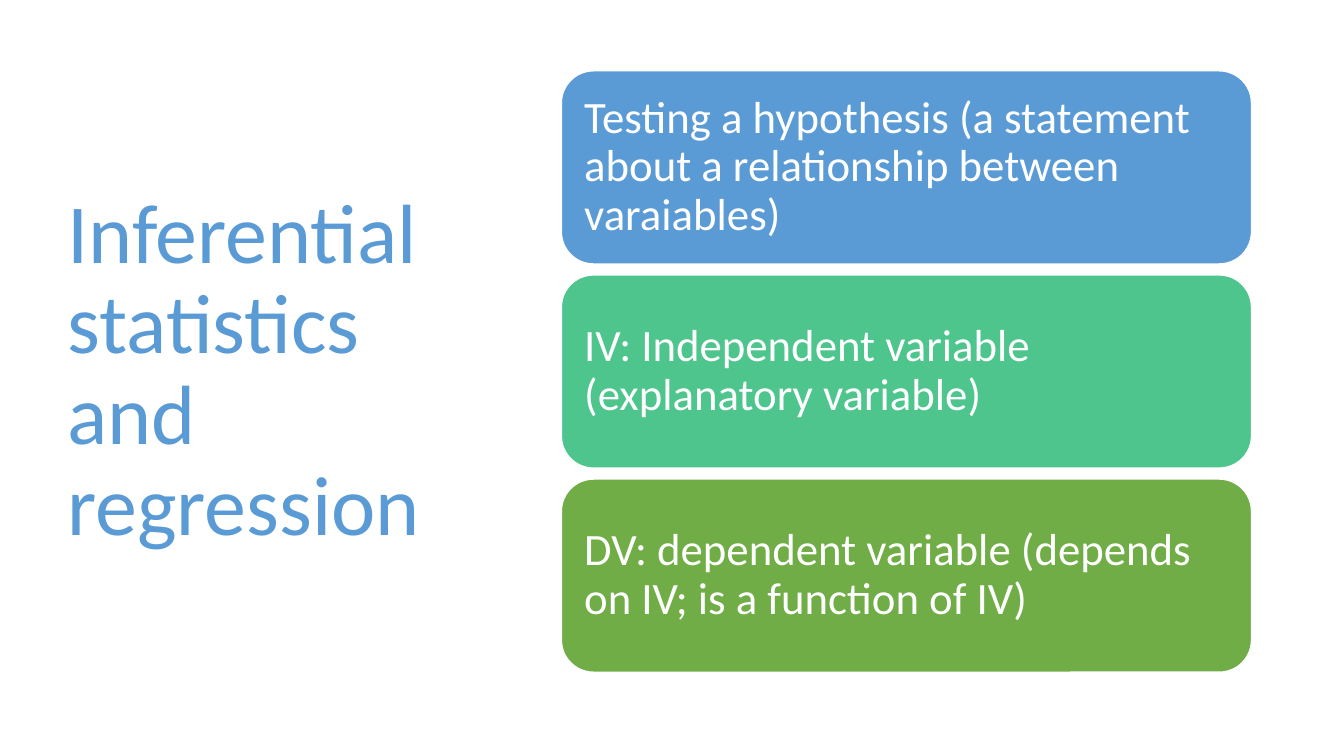
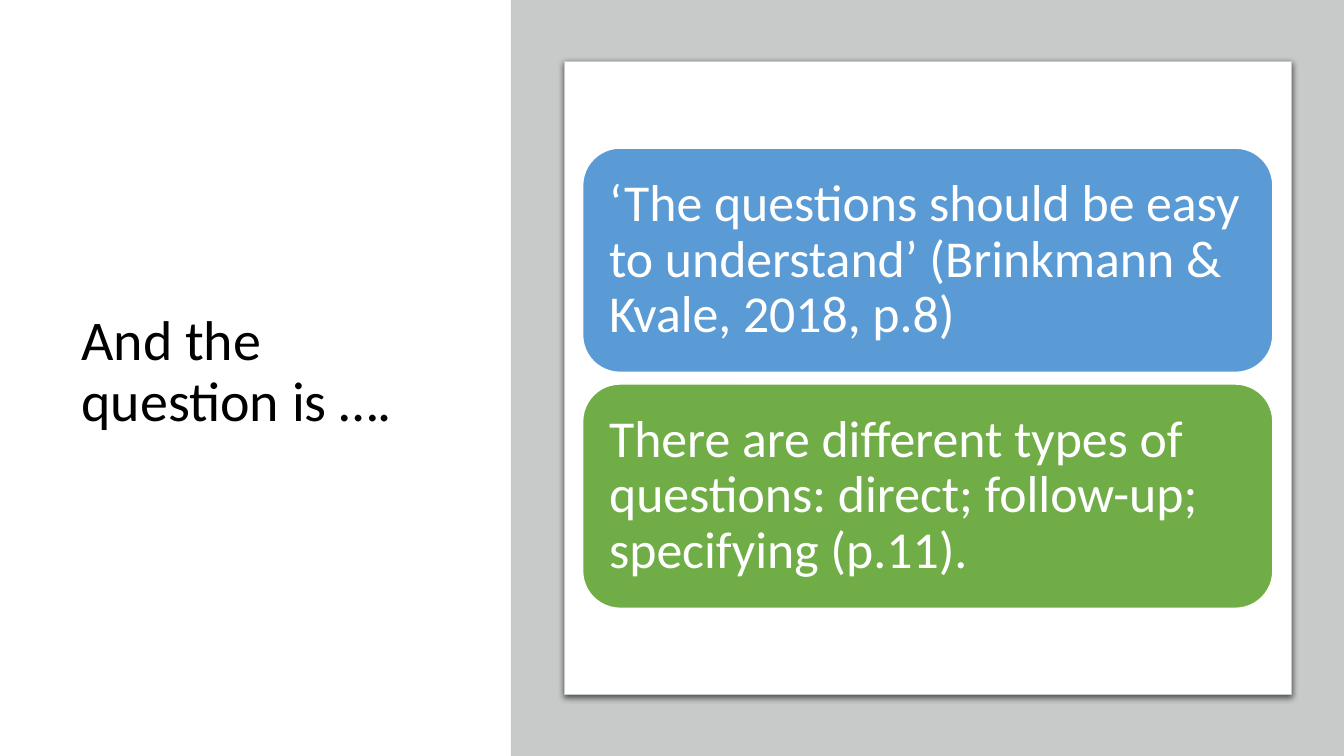
from dataclasses import dataclass

from lxml import etree
from pptx import Presentation
from pptx.dml.color import RGBColor
from pptx.enum.shapes import MSO_SHAPE
from pptx.enum.text import MSO_ANCHOR, MSO_AUTO_SIZE, PP_ALIGN
from pptx.oxml.ns import qn
from pptx.shapes.autoshape import Shape
from pptx.slide import Slide
from pptx.text.text import TextFrame
from pptx.util import Pt

RECTANGLE = MSO_SHAPE.RECTANGLE
ROUNDED = MSO_SHAPE.ROUNDED_RECTANGLE
MIDDLE = MSO_ANCHOR.MIDDLE
LEFT = PP_ALIGN.LEFT
NO_AUTOFIT = MSO_AUTO_SIZE.NONE
TITLE_ONLY = 5
SLIDE_WIDTH = 960
SLIDE_HEIGHT = 540


@dataclass(frozen=True)
class Theme:
    font: str = "Calibri"
    blue: RGBColor = RGBColor(0x5B, 0x9B, 0xD5)
    teal: RGBColor = RGBColor(0x4D, 0xC5, 0x8D)
    green: RGBColor = RGBColor(0x70, 0xAD, 0x47)
    grey: RGBColor = RGBColor(0xC8, 0xCA, 0xCA)
    white: RGBColor = RGBColor(0xFF, 0xFF, 0xFF)
    black: RGBColor = RGBColor(0, 0, 0)
    large_title: float = 60
    small_title: float = 40
    card_text: float = 32
    large_card_text: float = 37
    line_spacing: float = 0.9


@dataclass(frozen=True)
class Box:
    left: float
    top: float
    width: float
    height: float


@dataclass(frozen=True)
class Card:
    text: str
    color: RGBColor


@dataclass(frozen=True)
class CardStack:
    first: Box
    gap: float
    inset: float
    size: float
    cards: tuple[Card, ...]


THEME = Theme()

HYPOTHESIS_STACK = CardStack(
    Box(401, 50.6, 493, 138), 7.8, 9.6, THEME.card_text,
    (
        Card("Testing a hypothesis (a statement about a relationship between varaiables)", THEME.blue),
        Card("IV: Independent variable (explanatory variable)", THEME.teal),
        Card("DV: dependent variable (depends on IV; is a function of IV)", THEME.green),
    ),
)
QUESTION_STACK = CardStack(
    Box(416.2, 105.8, 493, 160.2), 8.3, 11.1, THEME.large_card_text,
    (
        Card("‘The questions should be easy to understand’ (Brinkmann & Kvale, 2018, p.8)", THEME.blue),
        Card("There are different types of questions: direct; follow-up; specifying (p.11).", THEME.green),
    ),
)


def write_text(frame: TextFrame, text: str, size: float, color: RGBColor) -> None:
    frame.text = text
    frame.word_wrap = True
    frame.auto_size = NO_AUTOFIT
    frame.vertical_anchor = MIDDLE
    paragraph = frame.paragraphs[0]
    paragraph.alignment = LEFT
    paragraph.line_spacing = THEME.line_spacing
    paragraph.font.name = THEME.font
    paragraph.font.size = Pt(size)
    paragraph.font.color.rgb = color


def set_title(slide: Slide, text: str, box: Box, size: float, color: RGBColor) -> None:
    title = slide.shapes.title
    title.left, title.top = Pt(box.left), Pt(box.top)
    title.width, title.height = Pt(box.width), Pt(box.height)
    write_text(title.text_frame, text, size, color)


def add_box(
    slide: Slide,
    kind: MSO_SHAPE,
    box: Box,
    fill: RGBColor,
    line: RGBColor | None = None,
    line_width: float = 1,
) -> Shape:
    shape = slide.shapes.add_shape(kind, Pt(box.left), Pt(box.top), Pt(box.width), Pt(box.height))
    shape.shadow.inherit = False
    shape.fill.solid()
    shape.fill.fore_color.rgb = fill
    if line is None:
        shape.line.fill.background()
    else:
        shape.line.color.rgb = line
        shape.line.width = Pt(line_width)
    return shape


def add_soft_shadow(shape: Shape) -> None:
    effects = shape.element.spPr.find(qn("a:effectLst"))
    shadow = etree.SubElement(
        effects, qn("a:outerShdw"),
        blurRad=str(Pt(4.5)), dist=str(Pt(1.5)), dir="5400000", algn="t", rotWithShape="0",
    )
    color = etree.SubElement(shadow, qn("a:srgbClr"), val=str(THEME.black))
    etree.SubElement(color, qn("a:alpha"), val="63000")


def add_card_stack(slide: Slide, stack: CardStack) -> None:
    first = stack.first
    for index, card in enumerate(stack.cards):
        top = first.top + index * (first.height + stack.gap)
        box = Box(first.left, top, first.width, first.height)
        shape = add_box(slide, ROUNDED, box, card.color, THEME.white)
        frame = shape.text_frame
        frame.margin_left = frame.margin_right = Pt(stack.inset)
        frame.margin_top = frame.margin_bottom = Pt(stack.inset)
        write_text(frame, card.text, stack.size, THEME.white)


def build_regression_slide(slide: Slide) -> None:
    set_title(slide, "Inferential statistics and regression", Box(41, 49, 299.5, 433.5),
              THEME.large_title, THEME.blue)
    add_card_stack(slide, HYPOTHESIS_STACK)


def build_question_slide(slide: Slide) -> None:
    set_title(slide, "And the question is ….", Box(51, 49.7, 288.7, 433.5),
              THEME.small_title, THEME.black)
    panel_left = 365
    add_box(slide, RECTANGLE, Box(panel_left, 0, SLIDE_WIDTH - panel_left, SLIDE_HEIGHT), THEME.grey)
    frame = add_box(slide, RECTANGLE, Box(403.2, 43.9, 519.1, 452.2), THEME.white, THEME.grey, 0.75)
    add_soft_shadow(frame)
    add_card_stack(slide, QUESTION_STACK)


def main() -> None:
    presentation = Presentation()
    presentation.slide_width = Pt(SLIDE_WIDTH)
    presentation.slide_height = Pt(SLIDE_HEIGHT)
    layout = presentation.slide_layouts[TITLE_ONLY]
    for build in (build_regression_slide, build_question_slide):
        build(presentation.slides.add_slide(layout))
    presentation.save("out.pptx")


if __name__ == "__main__":
    main()
